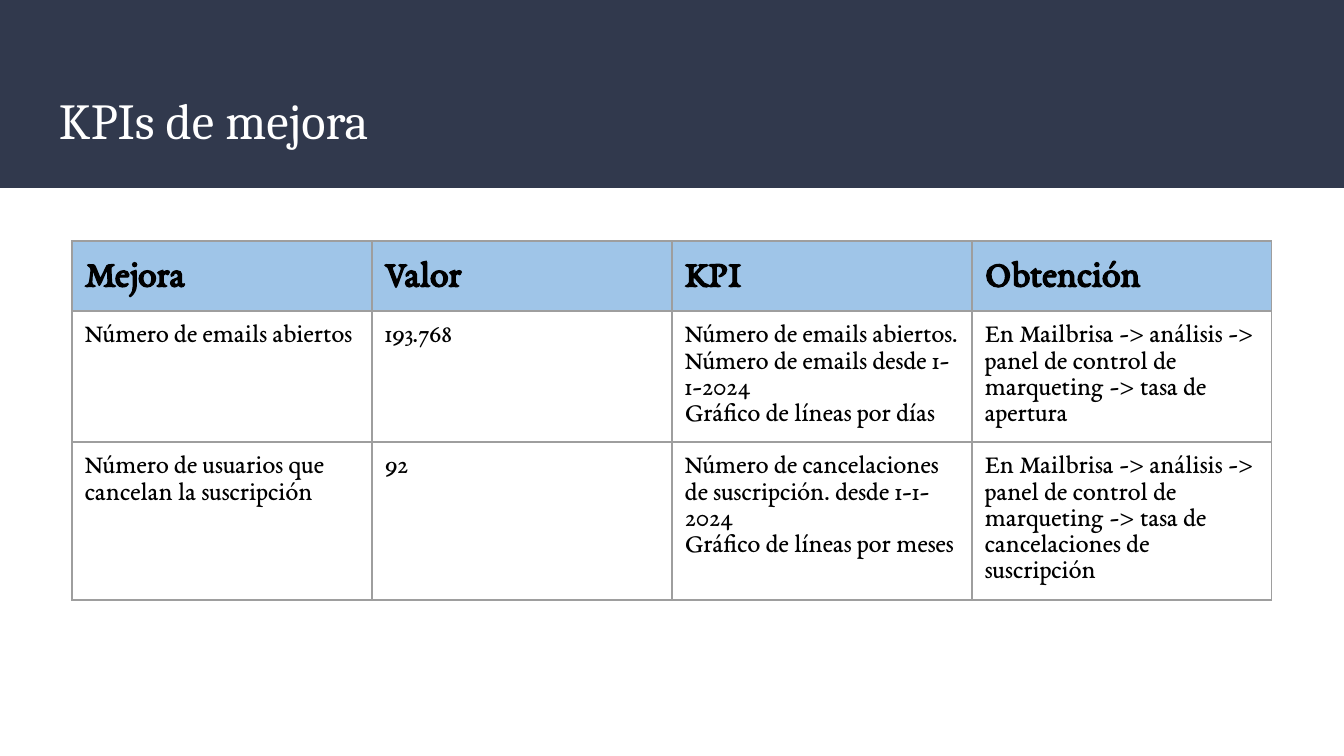
from dataclasses import dataclass

from lxml import etree
from pptx import Presentation
from pptx import util as u
from pptx.dml.color import RGBColor
from pptx.enum import shapes, text
from pptx.oxml.ns import qn

EMU_PER_PX = 914400 / 134.4
TITLE_ONLY = 5


@dataclass(frozen=True)
class Theme:
    band: str = "31394D"
    title: str = "FFFFFF"
    header: str = "9FC5E8"
    ink: str = "000000"
    border: str = "9E9E9E"
    title_font: str = "Cambria"
    table_font: str = "EB Garamond"
    title_pt: int = 27
    header_pt: int = 20
    body_pt: int = 14
    border_pt: float = 0.75
    header_spacing: float = 1.15
    inset: int = 13


THEME = Theme()

ROUTE = "En Mailbrisa -> análisis -> panel de control de marqueting -> tasa de "
KPI_ROWS = [
    ["Mejora", "Valor", "KPI", "Obtención"],
    ["Número de emails abiertos", "193.768",
     "Número de emails abiertos. Número de emails desde 1-1-2024\n"
     "Gráfico de líneas por días",
     ROUTE + "apertura"],
    ["Número de usuarios que cancelan la suscripción", "92",
     "Número de cancelaciones de suscripción. desde 1-1-2024\n"
     "Gráfico de líneas por meses",
     ROUTE + "cancelaciones de suscripción"],
]
ROW_HEIGHTS = [70, 131, 158]
COLUMN_WIDTH = 300


def px(length):
    return u.Emu(round(length * EMU_PER_PX))


def box(*lengths):
    return [px(length) for length in lengths]


def set_font(paragraph, name, size, color, bold=False):
    font = paragraph.font
    font.name, font.size, font.bold = name, u.Pt(size), bold
    font.color.rgb = RGBColor.from_string(color)


def set_insets(holder):
    """Give a text frame or a table cell the same margin on all sides."""
    holder.margin_left = holder.margin_right = px(THEME.inset)
    holder.margin_top = holder.margin_bottom = px(THEME.inset)


def add_title(slide, words):
    title = slide.shapes.title
    title.left, title.top, title.width, title.height = box(46, 74, 1252, 91)
    frame = title.text_frame
    frame.text = words
    frame.word_wrap = True
    frame.auto_size = text.MSO_AUTO_SIZE.NONE
    frame.vertical_anchor = text.MSO_ANCHOR.MIDDLE
    set_insets(frame)
    heading = frame.paragraphs[0]
    heading.alignment = text.PP_ALIGN.LEFT
    set_font(heading, THEME.title_font, THEME.title_pt, THEME.title)


def add_band(slide):
    """Draw the dark strip behind the title."""
    band = slide.shapes.add_shape(
        shapes.MSO_SHAPE.RECTANGLE, *box(0, 0, 1344, 188))
    band.shadow.inherit = False
    band.fill.solid()
    band.fill.fore_color.rgb = RGBColor.from_string(THEME.band)
    band.line.fill.background()
    slide.shapes.title.element.addprevious(band.element)


def set_borders(cell):
    properties = cell._tc.get_or_add_tcPr()
    for side in ("a:lnL", "a:lnR", "a:lnT", "a:lnB"):
        line = etree.SubElement(
            properties, qn(side), w=str(u.Pt(THEME.border_pt)))
        fill = etree.SubElement(line, qn("a:solidFill"))
        etree.SubElement(fill, qn("a:srgbClr"), val=THEME.border)


def fill_cell(cell, words, is_header):
    cell.text = words
    cell.vertical_anchor = text.MSO_ANCHOR.TOP
    set_insets(cell)
    set_borders(cell)
    if is_header:
        cell.fill.solid()
        cell.fill.fore_color.rgb = RGBColor.from_string(THEME.header)
    else:
        cell.fill.background()
    size = THEME.header_pt if is_header else THEME.body_pt
    for paragraph in cell.text_frame.paragraphs:
        if is_header:
            paragraph.line_spacing = THEME.header_spacing
        set_font(paragraph, THEME.table_font, size, THEME.ink, is_header)


def add_kpi_table(slide, rows):
    column_count = len(rows[0])
    table = slide.shapes.add_table(
        len(rows), column_count,
        *box(72, 241, COLUMN_WIDTH * column_count, sum(ROW_HEIGHTS))).table
    table.first_row = table.horz_banding = False
    for column in table.columns:
        column.width = px(COLUMN_WIDTH)
    for row_index, (row, height) in enumerate(zip(rows, ROW_HEIGHTS)):
        table.rows[row_index].height = px(height)
        for column_index, words in enumerate(row):
            fill_cell(table.cell(row_index, column_index), words,
                      is_header=row_index == 0)


def main():
    deck = Presentation()
    deck.slide_width, deck.slide_height = box(1344, 756)
    slide = deck.slides.add_slide(deck.slide_layouts[TITLE_ONLY])
    add_title(slide, "KPIs de mejora")
    add_band(slide)
    add_kpi_table(slide, KPI_ROWS)
    deck.save("out.pptx")


if __name__ == "__main__":
    main()
